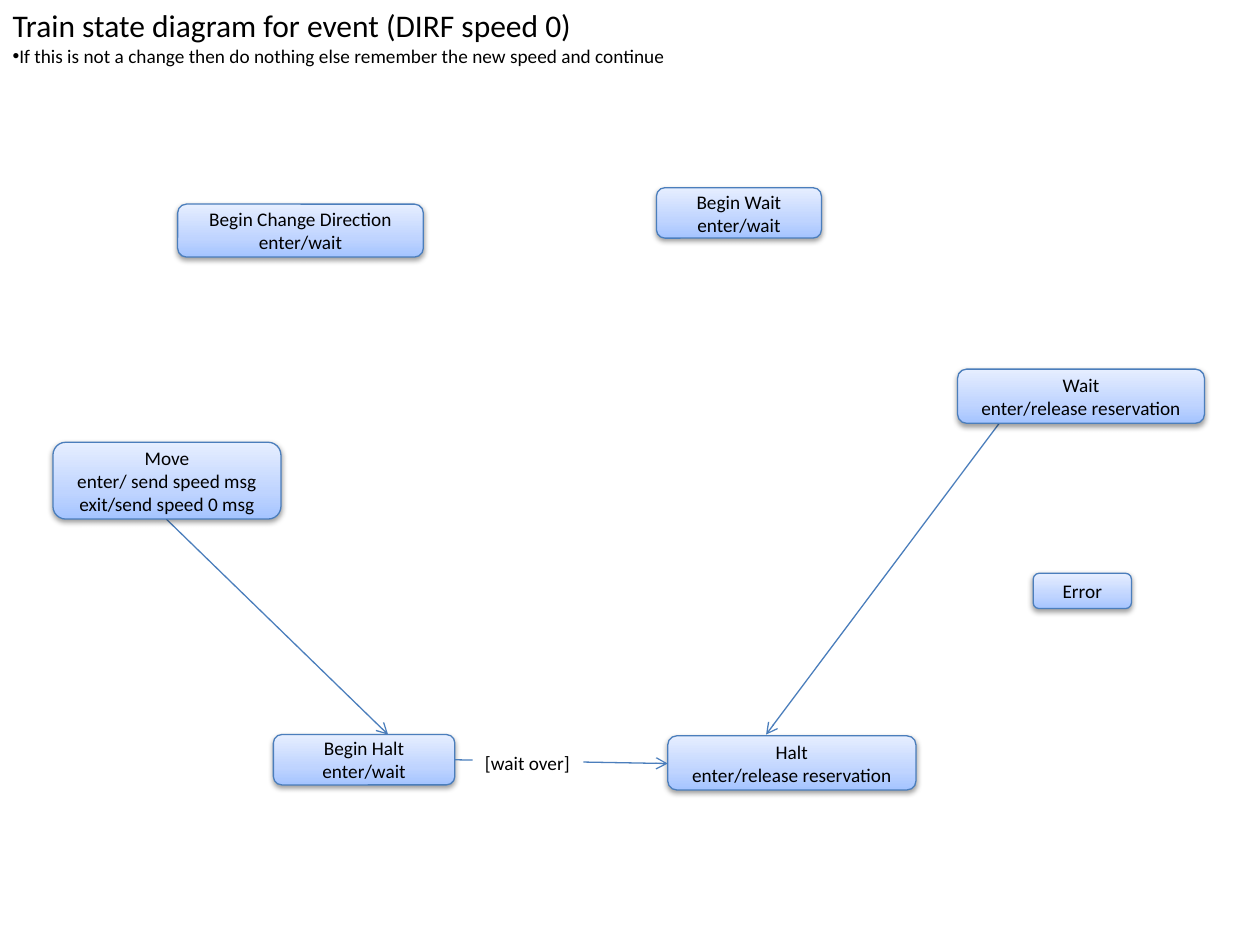
import pptx
import pptx.dml.color
import pptx.enum.shapes
import pptx.enum.text
import pptx.oxml
import pptx.oxml.ns
import pptx.util
from pptx.util import Inches

BLACK = pptx.dml.color.RGBColor(0x00, 0x00, 0x00)
WHITE = pptx.dml.color.RGBColor(0xFF, 0xFF, 0xFF)
BLUE = pptx.dml.color.RGBColor(0x4B, 0x7E, 0xBC)
STATE_STOPS = [
    (0, pptx.dml.color.RGBColor(0xA4, 0xC4, 0xFF)),
    (35, pptx.dml.color.RGBColor(0xBF, 0xD4, 0xFF)),
    (100, pptx.dml.color.RGBColor(0xE6, 0xEE, 0xFF)),
]


def element(xml):
    """Make one drawing element from XML without namespace declarations."""
    return pptx.oxml.parse_xml(f"<a:root {pptx.oxml.ns.nsdecls('a')}>{xml}</a:root>")[0]


class DiagramPage:
    """The style of the state diagram and the slide it is drawn on."""

    font = "Calibri"
    text_size = 11
    line_width = pptx.util.Pt(0.75)

    def __init__(self, deck):
        self.page = deck.slides.add_slide(deck.slide_layouts[1])

    def set_text(self, box, lines, size=text_size, align=pptx.enum.text.PP_ALIGN.LEFT):
        frame = box.text_frame
        frame.text = "\n".join(lines)
        for para in frame.paragraphs:
            para.alignment = align
            para.space_before = pptx.util.Pt(0)
            para.font.name = self.font
            para.font.size = pptx.util.Pt(size)
            para.font.color.rgb = BLACK
        return frame

    def heading(self, box, text, size, top, height, inset):
        """Fill a template placeholder at the top left of the page."""
        box.left, box.top = 0, Inches(top)
        box.width, box.height = Inches(5.5), Inches(height)
        frame = self.set_text(box, [text], size)
        frame.auto_size = pptx.enum.text.MSO_AUTO_SIZE.NONE
        frame.vertical_anchor = pptx.enum.text.MSO_ANCHOR.TOP
        frame.margin_top, frame.margin_bottom = Inches(inset), 0
        return frame

    def title(self, text):
        self.heading(self.page.shapes.title, text, 18, 0, 0.35, 0.05)

    def bullet(self, text):
        frame = self.heading(self.page.placeholders[1], text, self.text_size, 0.35, 0.24, 0)
        properties = frame.paragraphs[0]._p.get_or_add_pPr()
        properties.set("marL", "0")
        properties.set("indent", "0")
        # The bullet goes before the paragraph's default run properties
        for xml in ('<a:buChar char="•"/>', '<a:buFont typeface="Arial"/>'):
            properties.find(pptx.oxml.ns.qn("a:spcBef")).addnext(element(xml))

    def state(self, lines, left, top, width, height):
        box = self.page.shapes.add_shape(
            pptx.enum.shapes.MSO_SHAPE.ROUNDED_RECTANGLE,
            Inches(left), Inches(top), Inches(width), Inches(height))
        # Gradient running upwards, dark to light
        stops = "".join(
            f'<a:gs pos="{position * 1000}"><a:srgbClr val="{color}"/></a:gs>'
            for position, color in STATE_STOPS)
        properties = box._element.spPr
        properties.append(element(
            f'<a:gradFill rotWithShape="1"><a:gsLst>{stops}</a:gsLst>'
            '<a:lin ang="16200000" scaled="0"/></a:gradFill>'))
        box.line.color.rgb = BLUE
        box.line.width = self.line_width
        # Soft shadow straight below
        properties.append(element(
            '<a:effectLst><a:outerShdw blurRad="40000" dist="20000" dir="5400000" '
            'rotWithShape="0"><a:srgbClr val="000000"><a:alpha val="38000"/>'
            '</a:srgbClr></a:outerShdw></a:effectLst>'))
        frame = self.set_text(box, lines, align=pptx.enum.text.PP_ALIGN.CENTER)
        frame.vertical_anchor = pptx.enum.text.MSO_ANCHOR.MIDDLE
        frame.word_wrap = True

    def arrow(self, start, end):
        connector = self.page.shapes.add_connector(
            pptx.enum.shapes.MSO_CONNECTOR.STRAIGHT, *map(Inches, start + end))
        connector.line.color.rgb = BLUE
        connector.line.width = self.line_width
        properties = connector._element.spPr
        properties.get_or_add_ln().append(element('<a:tailEnd type="arrow"/>'))
        properties.append(element("<a:effectLst/>"))

    def label(self, text, left, top, width, height):
        box = self.page.shapes.add_textbox(
            Inches(left), Inches(top), Inches(width), Inches(height))
        box.fill.solid()
        box.fill.fore_color.rgb = WHITE
        self.set_text(box, [text]).word_wrap = False


def main():
    deck = pptx.Presentation()
    deck.slide_width, deck.slide_height = Inches(10), Inches(7.5)
    diagram = DiagramPage(deck)

    # Heading
    diagram.title("Train state diagram for event (DIRF speed 0)")
    diagram.bullet("If this is not a change then do nothing else remember the new speed and continue")

    # Transitions into the halting states
    diagram.arrow((1.32, 4.12), (3.08, 5.83))
    diagram.arrow((8.08, 3.16), (6.08, 5.83))

    # States
    wait, release = "enter/wait", "enter/release reservation"
    diagram.state(["Move", "enter/ send speed msg", "exit/send speed 0 msg"], 0.42, 3.51, 1.81, 0.61)
    diagram.state(["Error"], 8.2, 4.55, 0.78, 0.28)
    diagram.state(["Wait", release], 7.6, 2.93, 1.96, 0.43)
    diagram.state(["Halt", release], 5.3, 5.84, 1.97, 0.43)
    diagram.state(["Begin Wait", wait], 5.21, 1.49, 1.31, 0.4)
    diagram.state(["Begin Change Direction", wait], 1.41, 1.62, 1.95, 0.42)
    diagram.state(["Begin Halt", wait], 2.17, 5.83, 1.44, 0.4)

    # Labelled transition from Begin Halt to Halt
    diagram.arrow((3.61, 6.03), (5.3, 6.06))
    diagram.label("[wait over]", 3.75, 5.91, 0.88, 0.29)

    deck.save("out.pptx")


if __name__ == "__main__":
    main()
